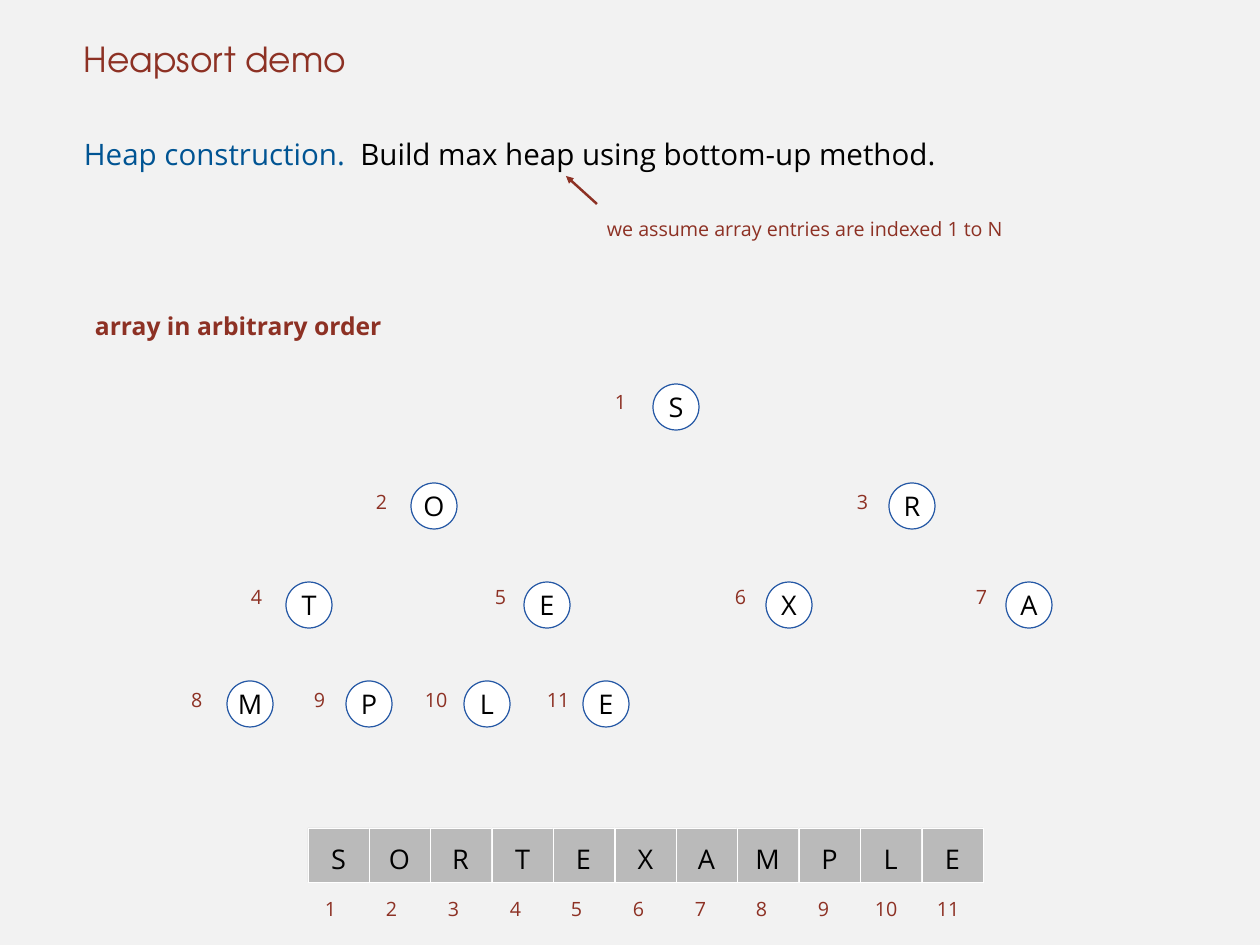
import pptx
import pptx.dml.color
import pptx.enum.shapes
import pptx.enum.text
import pptx.oxml
import pptx.oxml.ns
import pptx.util

PX = 10321
COLORS = {
    "paper": "F2F2F2",
    "white": "FFFFFF",
    "cell": "BABABA",
    "outline": "2558A5",
    "blue": "005493",
    "red": "8D3124",
    "black": "000000",
}
SANS = "Open Sans"
TITLE_FONT = "TeX Gyre Adventor"
SHAPES = pptx.enum.shapes.MSO_SHAPE
ANCHOR = pptx.enum.text.MSO_ANCHOR
ALIGN = pptx.enum.text.PP_ALIGN

ARRAY = "SORTEXAMPLE"
NODE_X = [653, 411, 889, 286, 524, 766, 1006, 227, 346, 464, 583]
NODE_LABEL_X = [610, 371, 852, 246, 490, 730, 971, 186, 309, 420, 542]
LEVEL_LABEL_Y = [390, 490, 585, 688]
NODE_SIZE = 46


def px(*lengths):
    return [pptx.util.Emu(n * PX) for n in lengths]


def rgb(name):
    return pptx.dml.color.RGBColor.from_string(COLORS[name])


def apply(target, values):
    for name, value in values.items():
        setattr(target, name, value)


def write(s, runs, size, font=SANS, bold=False, frame=None, para=None):
    tf = s.text_frame
    margins = dict.fromkeys(
        ["margin_left", "margin_top", "margin_right", "margin_bottom"], 0)
    apply(tf, {"word_wrap": True, **margins, **(frame or {})})
    p = tf.paragraphs[0]
    apply(p, para or {})
    for text, color in runs:
        r = p.add_run()
        r.text = text
        apply(r.font, {"name": font, "size": pptx.util.Pt(size), "bold": bold})
        r.font.color.rgb = rgb(color)


def add_text(slide, box, runs, size, frame=None, **options):
    s = slide.shapes.add_textbox(*px(*box))
    write(s, runs, size, frame={"margin_left": px(5)[0], **(frame or {})}, **options)


def add_index(slide, left, top, number, spacing):
    width = 42 if number > 9 else 29
    add_text(slide, (left, top, width, 32), [(str(number), "red")], 16,
             para={"line_spacing": spacing})


def add_letter(slide, kind, box, letter, fill, line, weight, spacing):
    s = slide.shapes.add_shape(kind, *px(*box))
    s.shadow.inherit = False
    s.fill.solid()
    s.fill.fore_color.rgb = rgb(fill)
    s.line.color.rgb = rgb(line)
    s.line.width = pptx.util.Pt(weight)
    write(s, [(letter, "black")], 22,
          frame={"vertical_anchor": ANCHOR.MIDDLE, "word_wrap": False},
          para={"alignment": ALIGN.CENTER, "line_spacing": spacing})


def add_arrow(slide, tail, tip):
    s = slide.shapes.add_connector(
        pptx.enum.shapes.MSO_CONNECTOR.STRAIGHT, *px(*tail, *tip))
    s.line.color.rgb = rgb("red")
    s.line.width = pptx.util.Pt(2)
    end = pptx.oxml.parse_xml(
        f'<a:tailEnd {pptx.oxml.ns.nsdecls("a")} type="triangle"/>')
    s.line._get_or_add_ln().append(end)
    effects = pptx.oxml.parse_xml(
        f'<a:effectLst {pptx.oxml.ns.nsdecls("a")}/>')
    s._element.spPr.append(effects)


def add_array(slide):
    for i, letter in enumerate(ARRAY):
        add_letter(slide, SHAPES.RECTANGLE, (308 + 614 * i // 10, 828, 61, 54),
                   letter, "cell", "white", 0.5, 1.2)
        shift = 5 if i >= 9 else 0
        add_index(slide, 320 + 617 * i // 10 - shift, 885, i + 1, 1.5)


def add_heap(slide):
    nodes = zip(ARRAY, NODE_X, NODE_LABEL_X)
    for number, (letter, x, label_x) in enumerate(nodes, 1):
        level = number.bit_length() - 1
        add_letter(slide, SHAPES.OVAL,
                   (x, 384 + 99 * level, NODE_SIZE, NODE_SIZE),
                   letter, "white", "outline", 1, 1.0)
        add_index(slide, label_x, LEVEL_LABEL_Y[level], number, 1.0)


def main():
    prs = pptx.Presentation()
    prs.slide_width, prs.slide_height = px(1260, 945)
    slide = prs.slides.add_slide(prs.slide_layouts[6])
    slide.background.fill.solid()
    slide.background.fill.fore_color.rgb = rgb("paper")

    add_text(slide, (79, 0, 1102, 79), [("Heapsort demo", "red")], 28,
             font=TITLE_FONT, frame={"vertical_anchor": ANCHOR.BOTTOM})
    add_text(slide, (79, 123, 1102, 60),
             [("Heap construction.  ", "blue"),
              ("Build max heap using bottom-up method.", "black")],
             24, para={"line_spacing": pptx.util.Pt(39)})
    add_text(slide, (602, 205, 433, 32),
             [("we assume array entries are indexed 1 to N", "red")],
             16, para={"line_spacing": 1.5})
    add_arrow(slide, (597, 204), (566, 176))
    add_text(slide, (90, 311, 311, 38),
             [("array in arbitrary order", "red")], 20, bold=True)
    add_heap(slide)
    add_array(slide)
    prs.save("out.pptx")


if __name__ == "__main__":
    main()
